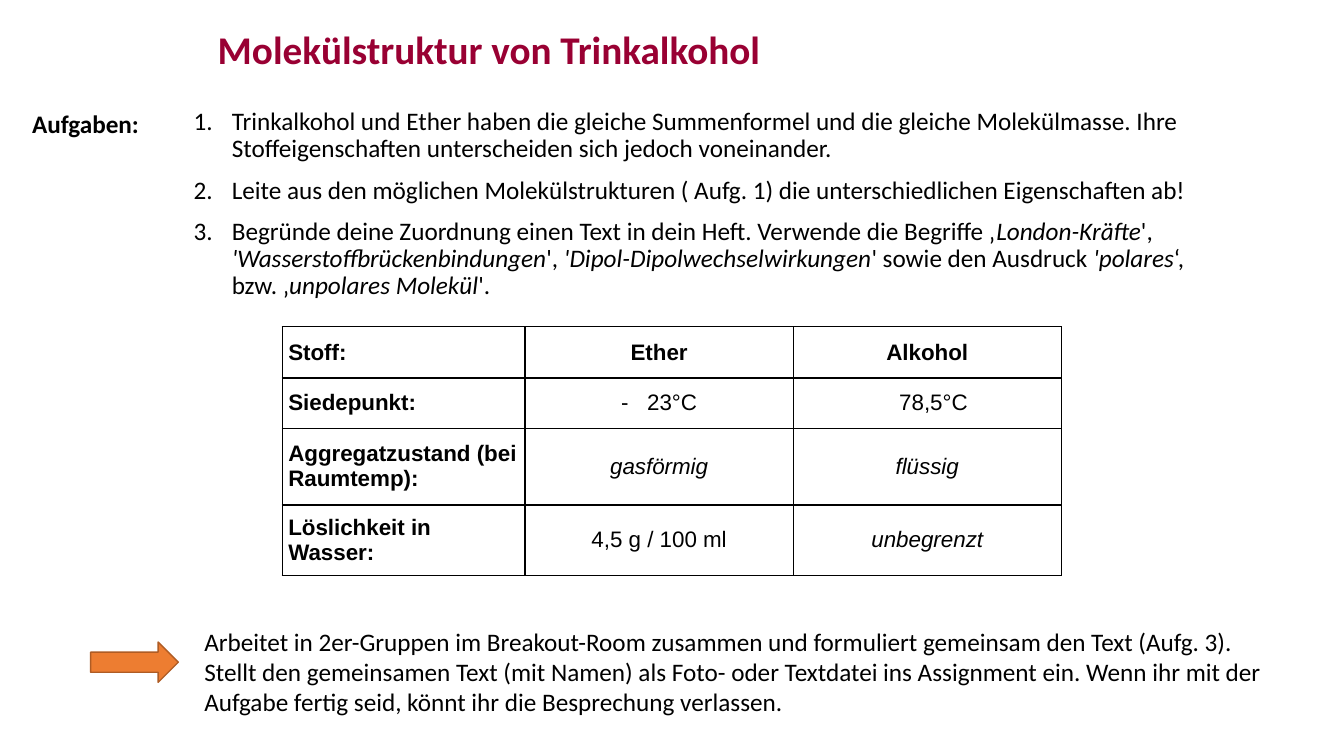
from lxml import etree
from pptx import Presentation
from pptx.dml.color import RGBColor
from pptx.enum.shapes import MSO_SHAPE
from pptx.enum.text import MSO_ANCHOR, MSO_AUTO_SIZE, PP_ALIGN
from pptx.oxml.ns import qn
from pptx.util import Inches, Pt

RIGHT_ARROW = MSO_SHAPE.RIGHT_ARROW
TOP, MIDDLE = MSO_ANCHOR.TOP, MSO_ANCHOR.MIDDLE
LEFT, CENTER = PP_ALIGN.LEFT, PP_ALIGN.CENTER
NO_AUTOFIT = MSO_AUTO_SIZE.NONE

CRIMSON = RGBColor(0x99, 0x00, 0x33)
BLACK = RGBColor(0x00, 0x00, 0x00)
ORANGE = RGBColor(0xED, 0x7D, 0x31)
BROWN = RGBColor(0xAF, 0x5C, 0x24)

SLIDE_WIDTH, SLIDE_HEIGHT = Inches(13.333), Inches(7.5)
TEXT_SIZE, TABLE_SIZE, TITLE_SIZE = 18, 16, 28

# Each task is a list of (text, italic) runs.
TASKS = [
    [("Trinkalkohol und Ether haben die gleiche Summenformel und die gleiche "
      "Molekülmasse. Ihre Stoffeigenschaften unterscheiden sich jedoch voneinander.", False)],
    [("Leite aus den möglichen Molekülstrukturen ( Aufg. 1) die unterschiedlichen "
      "Eigenschaften ab!", False)],
    [("Begründe deine Zuordnung einen Text in dein Heft. Verwende die Begriffe ‚", False),
     ("London-Kräfte", True), ("', ", False),
     ("'Wasserstoffbrückenbindungen", True), ("', ", False),
     ("'Dipol-Dipolwechselwirkungen", True), ("' sowie den Ausdruck ", False),
     ("'polares", True), ("‘, bzw. ‚", False),
     ("unpolares Molekül", True), ("'.", False)],
]
PROPERTIES = [
    ["Stoff:", "Ether", "Alkohol"],
    ["Siedepunkt:", "-   23°C", "  78,5°C"],
    ["Aggregatzustand (bei Raumtemp):", "gasförmig", "flüssig"],
    ["Löslichkeit in Wasser:", "4,5 g / 100 ml", "unbegrenzt"],
]
ITALIC_VALUES = {"gasförmig", "flüssig", "unbegrenzt"}
COLUMN_SHARES = [18.07, 19.95, 19.95]
ROW_SHARES = [6.8, 6.67, 10.13, 9.33]
GROUP_WORK = [
    "Arbeitet in 2er-Gruppen im Breakout-Room zusammen und formuliert gemeinsam "
    "den Text (Aufg. 3).",
    "Stellt den gemeinsamen Text (mit Namen) als Foto- oder Textdatei ins Assignment "
    "ein. Wenn ihr mit der Aufgabe fertig seid, könnt ihr die Besprechung verlassen.",
]


def across(share):
    """Convert a percentage of the slide width to a length."""
    return int(SLIDE_WIDTH * share / 100)


def down(share):
    """Convert a percentage of the slide height to a length."""
    return int(SLIDE_HEIGHT * share / 100)


def area(left, top, width, height):
    return across(left), down(top), across(width), down(height)


def place(placeholder, bounds):
    placeholder.left, placeholder.top, placeholder.width, placeholder.height = bounds


def add_run(paragraph, text, size=TEXT_SIZE, font="Calibri", color=BLACK,
            bold=False, italic=False):
    run = paragraph.add_run()
    run.text = text
    run.font.name = font
    run.font.size = Pt(size)
    run.font.color.rgb = color
    run.font.bold = bold
    run.font.italic = italic


def paragraphs(frame, count):
    """Yield the given number of paragraphs, starting with the existing one."""
    yield frame.paragraphs[0]
    for _ in range(count - 1):
        yield frame.add_paragraph()


def number(paragraph):
    """Give the paragraph an automatic number and a hanging indent."""
    properties = paragraph._p.get_or_add_pPr()
    properties.set("marL", str(Inches(0.38)))
    properties.set("indent", str(-Inches(0.38)))
    etree.SubElement(properties, qn("a:buFont"), typeface="+mj-lt")
    etree.SubElement(properties, qn("a:buAutoNum"), type="arabicPeriod")


def fill_title(title):
    place(title, area(15.45, 4, 67.5, 10.53))
    frame = title.text_frame
    frame.auto_size = NO_AUTOFIT
    frame.vertical_anchor = TOP
    frame.margin_top = 0
    heading = frame.paragraphs[0]
    heading.alignment = LEFT
    heading.line_spacing = 0.9
    add_run(heading, "Molekülstruktur von Trinkalkohol", TITLE_SIZE, color=CRIMSON, bold=True)


def fill_tasks(body):
    place(body, area(13.65, 13.73, 78.97, 28.13))
    frame = body.text_frame
    frame.auto_size = NO_AUTOFIT
    for index, (paragraph, runs) in enumerate(zip(paragraphs(frame, len(TASKS)), TASKS)):
        number(paragraph)
        paragraph.line_spacing = 0.9
        paragraph.space_before = Pt(10 if index else 0)
        for text, italic in runs:
            add_run(paragraph, text, italic=italic)


def add_text(slide, bounds, lines, bold=False):
    frame = slide.shapes.add_textbox(*bounds).text_frame
    frame.word_wrap = True
    for paragraph, line in zip(paragraphs(frame, len(lines)), lines):
        add_run(paragraph, line, bold=bold)


def outline_cell(cell):
    properties = cell._tc.get_or_add_tcPr()
    for side in ("a:lnL", "a:lnR", "a:lnT", "a:lnB"):
        border = etree.SubElement(properties, qn(side), w=str(Pt(1)))
        solid = etree.SubElement(border, qn("a:solidFill"))
        etree.SubElement(solid, qn("a:srgbClr"), val=str(BLACK))


def add_property_table(slide):
    bounds = area(21, 43.2, sum(COLUMN_SHARES), sum(ROW_SHARES))
    table = slide.shapes.add_table(len(PROPERTIES), len(COLUMN_SHARES), *bounds).table
    table.first_row = table.horz_banding = False
    for column, share in zip(table.columns, COLUMN_SHARES):
        column.width = across(share)
    for row, share in zip(table.rows, ROW_SHARES):
        row.height = down(share)
    for r, values in enumerate(PROPERTIES):
        for c, value in enumerate(values):
            cell = table.cell(r, c)
            outline_cell(cell)
            cell.fill.background()
            cell.vertical_anchor = MIDDLE
            cell.margin_left = cell.margin_right = Inches(0.06)
            cell.margin_top = cell.margin_bottom = Inches(0.06)
            paragraph = cell.text_frame.paragraphs[0]
            paragraph.alignment = CENTER if c else LEFT
            add_run(paragraph, value, TABLE_SIZE, "Arial",
                    bold=r == 0 or c == 0, italic=value in ITALIC_VALUES)


def add_arrow(slide, bounds):
    arrow = slide.shapes.add_shape(RIGHT_ARROW, *bounds)
    arrow.shadow.inherit = False
    arrow.fill.solid()
    arrow.fill.fore_color.rgb = ORANGE
    arrow.line.color.rgb = BROWN
    arrow.line.width = Pt(1)


def main():
    presentation = Presentation()
    presentation.slide_width, presentation.slide_height = SLIDE_WIDTH, SLIDE_HEIGHT
    slide = presentation.slides.add_slide(presentation.slide_layouts[1])
    fill_title(slide.shapes.title)
    fill_tasks(slide.placeholders[1])
    add_property_table(slide)
    add_text(slide, area(1.65, 13.73, 12, 5.33), ["Aufgaben:"], bold=True)
    add_text(slide, area(14.47, 82.13, 83.92, 13.47), GROUP_WORK)
    add_arrow(slide, area(6.75, 84.93, 6.52, 5.33))
    presentation.save("out.pptx")


if __name__ == "__main__":
    main()
